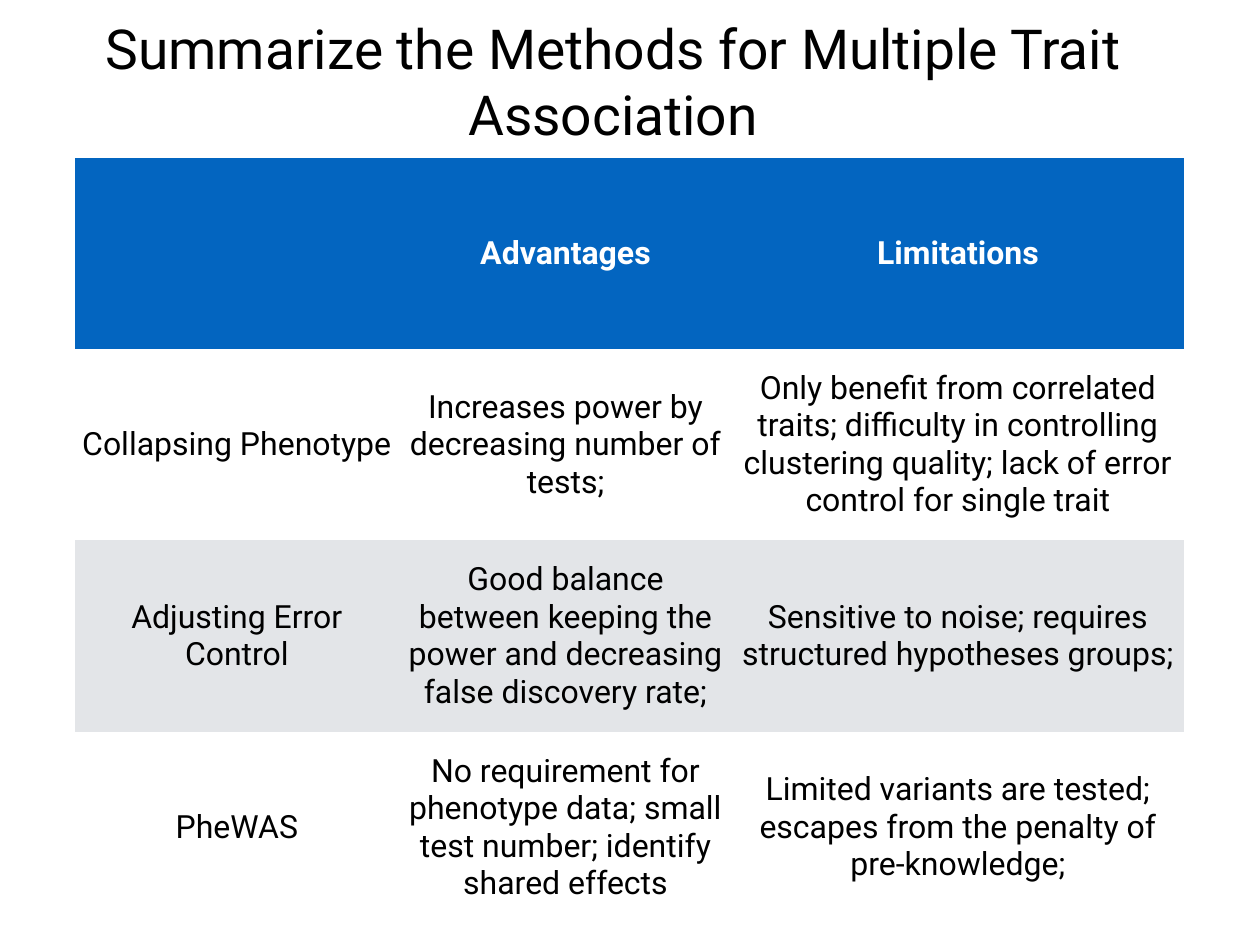
from dataclasses import dataclass

from pptx import Presentation
from pptx.dml.color import RGBColor
from pptx.enum.text import MSO_ANCHOR, PP_ALIGN
from pptx.util import Pt

CENTER = PP_ALIGN.CENTER
MIDDLE = MSO_ANCHOR.MIDDLE


@dataclass(frozen=True)
class Theme:
    font: str = "Roboto"
    title_size: float = 44.8
    table_size: float = 26
    inset: float = 4.3
    black: str = "000000"
    white: str = "FFFFFF"
    header: str = "0365C0"
    band: str = "E3E5E8"


THEME = Theme()
TITLE = "Summarize the Methods for Multiple Trait Association"
COLUMN_WIDTHS = (262.8, 271.4, 366.5)
ROW_HEIGHT = 155.5
METHODS = (
    ("", "Advantages", "Limitations"),
    (
        "Collapsing Phenotype",
        "Increases power by decreasing number of tests;",
        "Only benefit from correlated traits; difficulty in controlling "
        "clustering quality; lack of error control for single trait",
    ),
    (
        "Adjusting Error Control",
        "Good balance between keeping the power and decreasing false discovery rate;",
        "Sensitive to noise; requires structured hypotheses groups;",
    ),
    (
        "PheWAS",
        "No requirement for phenotype data; small test number; identify shared effects",
        "Limited variants are tested; escapes from the penalty of pre-knowledge;",
    ),
)


def set_text(holder, text, size, color, bold=False):
    holder.margin_left = holder.margin_right = Pt(THEME.inset)
    holder.margin_top = holder.margin_bottom = Pt(THEME.inset)
    holder.vertical_anchor = MIDDLE
    frame = getattr(holder, "text_frame", holder)
    frame.text = text
    para = frame.paragraphs[0]
    para.alignment = CENTER
    para.font.size = Pt(size)
    for span in para.runs:
        span.font.name = THEME.font
        span.font.size = Pt(size)
        span.font.bold = bold
        span.font.color.rgb = RGBColor.from_string(color)


def add_title(page, text, left, top, width, height):
    box = page.shapes.add_textbox(Pt(left), Pt(top), Pt(width), Pt(height))
    box.text_frame.word_wrap = True
    set_text(box.text_frame, text, THEME.title_size, THEME.black)


def row_fill(index):
    if index == 0:
        return THEME.header
    return THEME.white if index % 2 else THEME.band


def add_methods_table(page, rows, left, top):
    frame = page.shapes.add_table(
        len(rows), len(COLUMN_WIDTHS), Pt(left), Pt(top),
        Pt(sum(COLUMN_WIDTHS)), Pt(ROW_HEIGHT * len(rows)),
    )
    table = frame.table
    for column, width in zip(table.columns, COLUMN_WIDTHS):
        column.width = Pt(width)
    table.horz_banding = False
    table.first_row = False
    for index, texts in enumerate(rows):
        table.rows[index].height = Pt(ROW_HEIGHT)
        is_header = index == 0
        color = THEME.white if is_header else THEME.black
        for cell, text in zip(table.rows[index].cells, texts):
            cell.fill.solid()
            cell.fill.fore_color.rgb = RGBColor.from_string(row_fill(index))
            set_text(cell, text, THEME.table_size, color, is_header)
    style = table._tbl.tblPr.find(
        "{http://schemas.openxmlformats.org/drawingml/2006/main}tableStyleId"
    )
    style.text = "{2D5ABB26-0587-4C30-8999-92F81FD0307C}"


def main():
    deck = Presentation()
    deck.slide_width = Pt(1024)
    deck.slide_height = Pt(768)
    page = deck.slides.add_slide(deck.slide_layouts[6])
    add_title(page, TITLE, 61.2, 8.6, 874, 113.8)
    add_methods_table(page, METHODS, 61.2, 128.2)
    deck.save("out.pptx")


if __name__ == "__main__":
    main()
